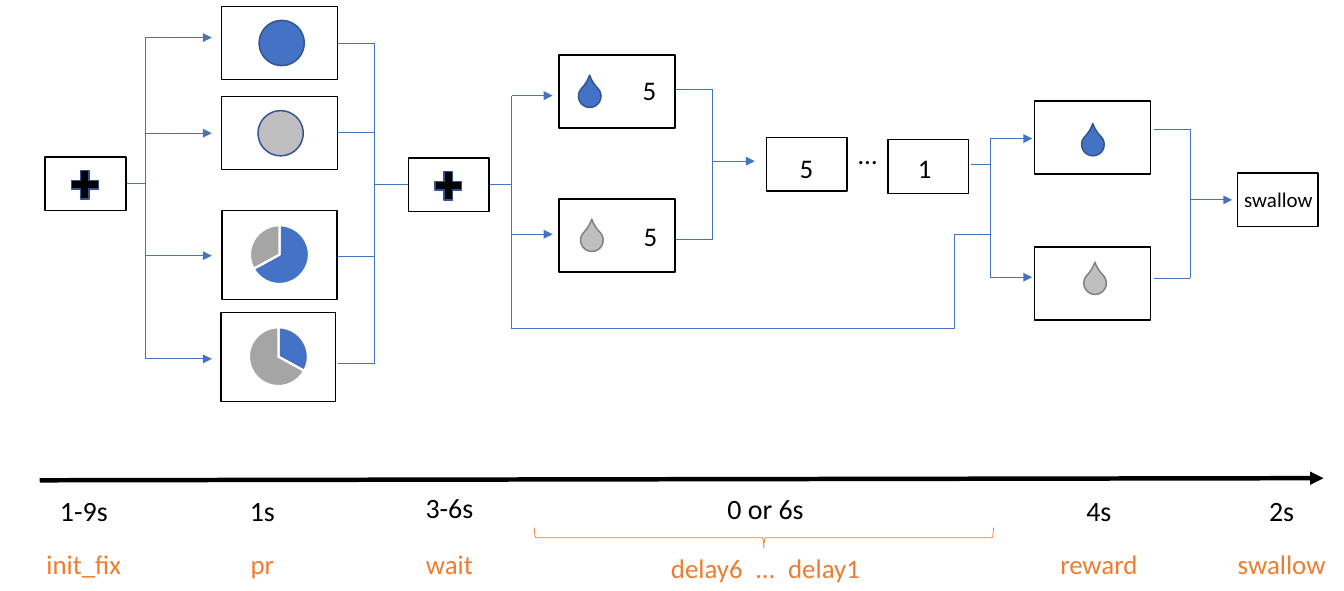
"""Build the timeline of one trial: fixation, cue, wait, delay, reward and swallow."""
from dataclasses import dataclass

from lxml import etree
from pptx import Presentation, util as u
from pptx.chart import data as chart_data
from pptx.dml import color, fill as dml_fill
from pptx.enum import chart as charts, shapes, text
from pptx.oxml import parse_xml, ns
from pptx.shapes import autoshape

COLUMNS, ROWS = 125, 55
BLACK, BLUE, NAVY, ORANGE = "000000", "4472C4", "325491", "ED7D31"
SILVER, GREY, DARK_GREY, WHITE = "BFBFBF", "A5A5A5", "808080", "FFFFFF"
FONT = "Calibri"
FORM = shapes.MSO_SHAPE

deck = Presentation()
deck.slide_width, deck.slide_height = u.Inches(12.5), u.Inches(5.5)
trial = deck.slides.add_slide(deck.slide_layouts[6])


@dataclass
class Figure:
    """A preset shape placed by its left column and top row."""
    left: float
    top: float
    width: float
    height: float
    form: int = FORM.RECTANGLE
    fill: str = ""
    line: str = BLACK
    weight: float = 1
    rotation: float = 0
    adjust: float | None = None


@dataclass
class Label:
    """A line of text centred on a column."""
    centre: float
    top: float
    words: str
    width: float = 3.3
    size: float = 18
    ink: str = BLACK


@dataclass
class Stage:
    """A stage of the trial on the time axis."""
    centre: float
    duration: str
    duration_width: float
    name: str
    name_width: float
    duration_top: float = 45.4
    name_top: float = 50.5


@dataclass
class Junction:
    """A vertical trunk with branches to the left and to the right."""
    start: float
    trunk: float
    end: float
    inputs: tuple[float, ...]
    outputs: tuple[float, ...]
    arrow: bool = True
    foot: float = 0


def col(count: float) -> int:
    """Turn grid columns into a length."""
    return round(deck.slide_width * count / COLUMNS)


def row(count: float) -> int:
    """Turn grid rows into a length."""
    return round(deck.slide_height * count / ROWS)


def paint(fill: dml_fill.FillFormat, ink: str) -> None:
    """Fill with a hex colour, or clear when it is empty."""
    if not ink:
        fill.background()
        return
    fill.solid()
    fill.fore_color.rgb = color.RGBColor.from_string(ink)


def style(target: object, formats: dict[str, object]) -> None:
    """Set each format value on the target."""
    for attribute, value in formats.items():
        setattr(target, attribute, value)


def draw_figure(figure: Figure) -> autoshape.Shape:
    """Draw a preset shape."""
    shape = trial.shapes.add_shape(figure.form, col(figure.left), row(figure.top),
                                   col(figure.width), row(figure.height))
    shape.shadow.inherit = False
    shape.rotation = figure.rotation
    if figure.adjust is not None:
        shape.adjustments[0] = figure.adjust
    paint(shape.fill, figure.fill)
    paint(shape.line.fill, figure.line)
    shape.line.width = u.Pt(figure.weight)
    return shape


def draw_label(label: Label) -> None:
    """Draw a centred text that fits its words."""
    height = 1 + label.size * 1.22 / 7.2
    box = trial.shapes.add_textbox(col(label.centre - label.width / 2), row(label.top),
                                   col(label.width), row(height))
    style(box.text_frame, {"word_wrap": False, "auto_size": text.MSO_AUTO_SIZE.SHAPE_TO_FIT_TEXT})
    paragraph = box.text_frame.paragraphs[0]
    paragraph.alignment = text.PP_ALIGN.CENTER
    run = paragraph.add_run()
    run.text = label.words
    style(run.font, {"name": FONT, "size": u.Pt(label.size)})
    paint(run.font.fill, label.ink)


def draw_line(x1: float, y1: float, x2: float, y2: float, arrow: bool = False,
              ink: str = BLUE, weight: float = 0.5) -> None:
    """Draw a straight line, with an arrowhead at its end on request."""
    line = trial.shapes.add_connector(shapes.MSO_CONNECTOR.STRAIGHT,
                                      col(x1), row(y1), col(x2), row(y2))
    paint(line.line.fill, ink)
    line.line.width = u.Pt(weight)
    properties = line.element.spPr
    if arrow:
        etree.SubElement(properties.find(ns.qn("a:ln")), ns.qn("a:tailEnd"), type="triangle")
    etree.SubElement(properties, ns.qn("a:effectLst"))


def draw_junction(junction: Junction) -> None:
    """Draw a trunk and all its branches."""
    levels = junction.inputs + junction.outputs
    draw_line(junction.trunk, min(levels), junction.trunk, max(*levels, junction.foot))
    for level in junction.inputs:
        draw_line(junction.start, level, junction.trunk, level)
    for level in junction.outputs:
        draw_line(junction.trunk, level, junction.end, level, junction.arrow)


def draw_odds(left: float, top: float, shares: tuple[int, int]) -> None:
    """Draw a framed pie of the two outcome chances."""
    odds = chart_data.CategoryChartData()
    odds.categories = ["1", "2"]
    odds.add_series("Series 1", shares)
    pie = trial.shapes.add_chart(charts.XL_CHART_TYPE.PIE, col(left), row(top),
                                 col(10.8), row(8.4), odds).chart
    style(pie, {"has_title": False, "has_legend": False})
    style(pie.font, {"name": FONT, "size": u.Pt(10)})
    paint(pie.font.fill, BLACK)
    plot = pie.plots[0]
    plot.vary_by_categories = True
    for index, ink in enumerate((BLUE, GREY)):
        slice_format = plot.series[0].points[index].format
        paint(slice_format.fill, ink)
        paint(slice_format.line.fill, WHITE)
        slice_format.line.width = u.Pt(1.5)
    area = pie.element.find(".//" + ns.qn("c:plotArea"))
    for layout in area.findall(ns.qn("c:layout")):
        area.remove(layout)
    edges = {"layoutTarget": "inner", "xMode": "edge", "yMode": "edge",
             "x": 0.24, "y": 0.17, "w": 0.52, "h": 0.66}
    marks = "".join(f'<c:{key} val="{value}"/>' for key, value in edges.items())
    area.insert(0, parse_xml(f'<c:layout {ns.nsdecls("c")}><c:manualLayout>{marks}'
                             '</c:manualLayout></c:layout>'))
    pie.element.find(ns.qn("c:chart")).addnext(parse_xml(
        f'<c:spPr {ns.nsdecls("c", "a")}><a:noFill/><a:ln w="{u.Pt(0.75)}"><a:solidFill>'
        f'<a:srgbClr val="{BLACK}"/></a:solidFill></a:ln></c:spPr>'))


JUNCTIONS = [
    Junction(11.6, 13.5, 19.7, (17.1,), (3.5, 12.4, 23.8, 33.4)),
    Junction(31.4, 34.85, 38, (4, 12.3, 23.9, 33.8), (17.2,), arrow=False),
    Junction(45.6, 47.6, 51.4, (17.2,), (8.9, 21.8), foot=30.6),
    Junction(62.9, 66.3, 70.2, (8.3, 22.3), (15,)),
    Junction(90.3, 92.1, 96, (15.3,), (12.9, 25.8)),
    Junction(107.3, 110.7, 114.6, (12, 25.9), (18.6,)),
]
BYPASS = [(47.6, 30.6), (88.8, 30.6), (88.8, 21.8), (92.1, 21.8)]
SCREENS = [(20.6, 0.6), (20.6, 9), (52, 5.1), (52, 18.5), (96.2, 9.4), (96.2, 23)]
SMALL_SCREENS = [(4.2, 14.6), (38, 14.7), (71.3, 12.8), (82.6, 13), (115.1, 16.1)]
CUES = [(24.1, 1.9, BLUE), (24, 10.3, SILVER)]
DROPS = [(53.8, 7.9, BLUE, NAVY), (54, 21.3, SILVER, DARK_GREY),
         (100.6, 12.4, BLUE, NAVY), (100.8, 25.3, SILVER, DARK_GREY)]
LABELS = [Label(60.4, 6.4, "5"), Label(60.5, 19.9, "5"), Label(75, 13.6, "5"),
          Label(80.7, 12.3, "…", 3.8), Label(86, 13.6, "1"),
          Label(118.9, 16.9, "swallow", 8.4, 14)]
STAGES = [
    Stage(7.8, "1-9s", 6.5, "init_fix", 9),
    Stage(24.4, "1s", 4.4, "pr", 4.2),
    Stage(41.8, "3-6s", 6.5, "wait", 6.4, duration_top=45.2),
    Stage(71.2, "0 or 6s", 9.2, "delay6\u2002…\u2002delay1", 20.2, 45.3, 50.8),
    Stage(102.2, "4s", 4.4, "reward", 9.3),
    Stage(119.2, "2s", 4.4, "swallow", 10.3),
]

for junction in JUNCTIONS:
    draw_junction(junction)
for bend, next_bend in zip(BYPASS, BYPASS[1:]):
    draw_line(*bend, *next_bend)
for left, top in SCREENS:
    draw_figure(Figure(left, top, 10.8, 6.8))
for left, top in SMALL_SCREENS:
    draw_figure(Figure(left, top, 7.5, 5))
for left, top in SMALL_SCREENS[:2]:
    draw_figure(Figure(left + 2, top + 0.8, 3.4, 3.6, FORM.MATH_PLUS, BLACK, NAVY))
for left, top, ink in CUES:
    draw_figure(Figure(left, top, 4.2, 4.2, FORM.OVAL, ink, NAVY))
for left, top, ink, edge in DROPS:
    draw_figure(Figure(left, top, 2.1, 2.1, FORM.TEAR, ink, edge, rotation=314.6, adjust=1.32))
draw_odds(20.6, 19.5, (67, 33))
draw_odds(20.5, 29, (33, 67))
for label in LABELS:
    draw_label(label)
draw_line(3.7, 44.7, 123.1, 44.5, arrow=True, ink=BLACK, weight=3)
draw_figure(Figure(70.1, 28.7, 1.9, 42.7, FORM.LEFT_BRACE, line=ORANGE, weight=0.5, rotation=270))
for stage in STAGES:
    draw_label(Label(stage.centre, stage.duration_top, stage.duration, stage.duration_width, 18.7))
    draw_label(Label(stage.centre, stage.name_top, stage.name, stage.name_width, ink=ORANGE))

deck.save("out.pptx")
